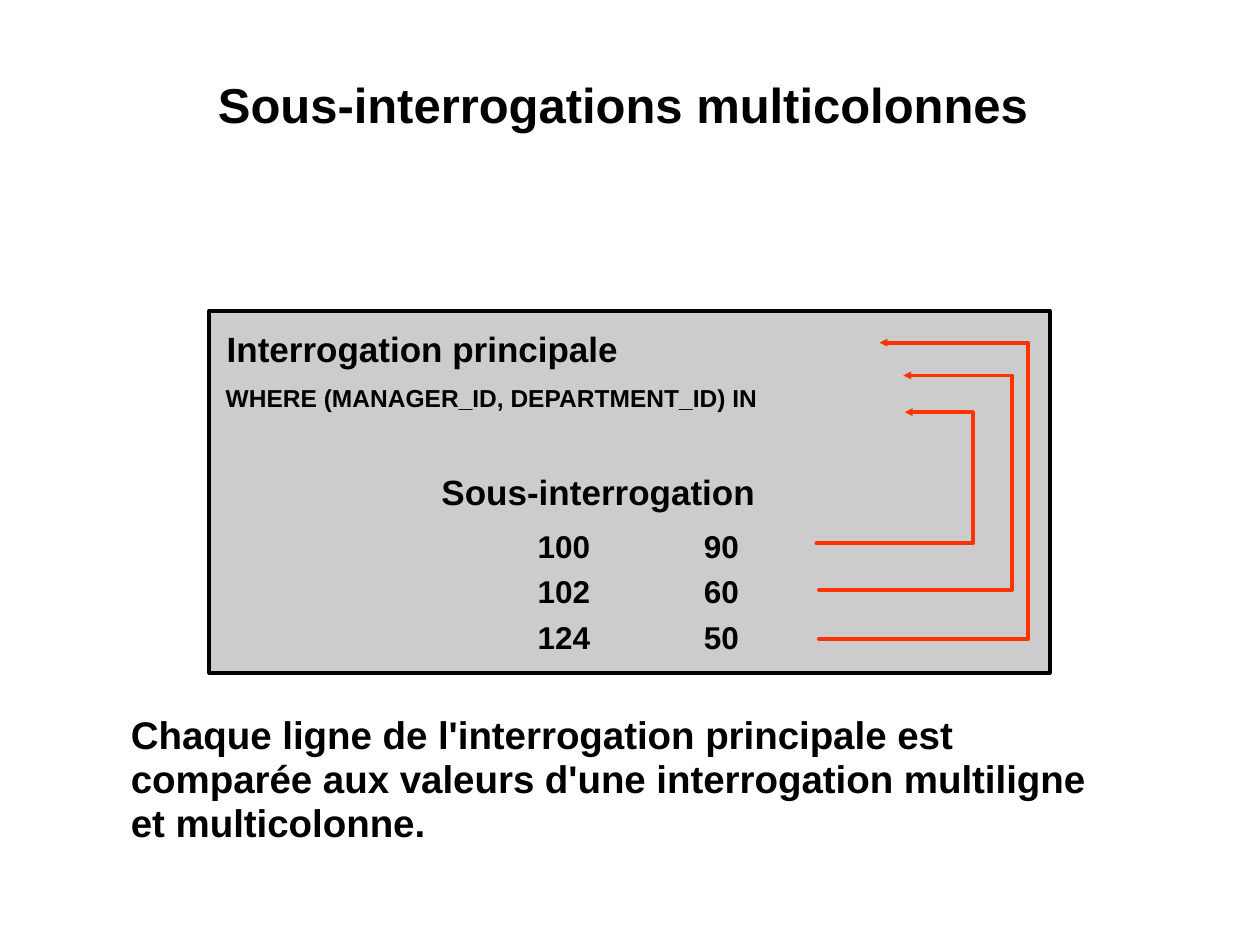
import lxml.etree
import pptx
import pptx.dml.color
import pptx.enum.shapes
import pptx.enum.text
import pptx.oxml.ns
import pptx.util

Cm = pptx.util.Cm
Pt = pptx.util.Pt
qn = pptx.oxml.ns.qn


def colour(value):
    return pptx.dml.color.RGBColor.from_string(value)


def apply(target, values):
    for name, value in values.items():
        setattr(target, name, value)


class SlideBuilder:
    ink = "000000"
    panel_fill = "CCCCCC"
    arrow_ink = "FF3300"
    line_width = Pt(2.25)
    font = {"name": "Arial", "bold": True}
    frame = {
        "word_wrap": True,
        "vertical_anchor": pptx.enum.text.MSO_ANCHOR.TOP,
        "margin_left": Cm(0.25),
        "margin_right": Cm(0.25),
        "margin_top": Cm(0.13),
        "margin_bottom": Cm(0.13),
    }

    def __init__(self, slide):
        self.slide = slide

    def outline(self, shape, value):
        shape.shadow.inherit = False
        shape.line.color.rgb = colour(value)
        shape.line.width = self.line_width

    def panel(self, left, top, width, height):
        shape = self.slide.shapes.add_shape(
            pptx.enum.shapes.MSO_SHAPE.RECTANGLE,
            Cm(left), Cm(top), Cm(width), Cm(height))
        shape.fill.solid()
        shape.fill.fore_color.rgb = colour(self.panel_fill)
        self.outline(shape, self.ink)

    def text(self, lines, left, top, width, height, size, spacing=1.2,
             align=pptx.enum.text.PP_ALIGN.LEFT, tab=None):
        box = self.slide.shapes.add_textbox(Cm(left), Cm(top), Cm(width), Cm(height))
        apply(box.text_frame, self.frame)
        box.text_frame.text = "\n".join(lines)
        for paragraph in box.text_frame.paragraphs:
            apply(paragraph, {"alignment": align, "line_spacing": spacing,
                              "space_before": Pt(0)})
            if tab:
                stops = lxml.etree.SubElement(
                    paragraph._p.get_or_add_pPr(), qn("a:tabLst"))
                lxml.etree.SubElement(stops, qn("a:tab"), pos=str(Cm(tab)), algn="l")
            apply(paragraph.font, {**self.font, "size": Pt(size)})
            paragraph.font.color.rgb = colour(self.ink)

    def return_arrow(self, start, bottom, turn, top, end):
        points = [(Cm(x), Cm(y)) for x, y in
                  ((start, bottom), (turn, bottom), (turn, top), (end, top))]
        builder = self.slide.shapes.build_freeform(*points[0])
        builder.add_line_segments(points[1:], close=False)
        shape = builder.convert_to_shape()
        shape.fill.background()
        self.outline(shape, self.arrow_ink)
        line = shape.line._get_or_add_ln()
        line.set("cap", "rnd")
        lxml.etree.SubElement(line, qn("a:round"))
        lxml.etree.SubElement(line, qn("a:tailEnd"), type="triangle", w="sm", len="sm")


def main():
    presentation = pptx.Presentation()
    apply(presentation, {"slide_width": Cm(25.4), "slide_height": Cm(19.05)})
    builder = SlideBuilder(presentation.slides.add_slide(presentation.slide_layouts[6]))

    builder.text(["Sous-interrogations multicolonnes"], 2.4, 1.37, 20.32, 2.44, 28,
                 spacing=1.0, align=pptx.enum.text.PP_ALIGN.CENTER)
    builder.panel(4.22, 6.27, 16.94, 7.29)
    builder.text(["Interrogation principale"], 4.32, 6.3, 8.61, 1.27, 20)
    builder.text(["WHERE (MANAGER_ID, DEPARTMENT_ID) IN"], 4.3, 7.47, 11.56, 0.97, 14)
    builder.text(["Sous-interrogation"], 8.65, 9.19, 7.04, 1.27, 20)

    manager_departments = [(100, 90), (102, 60), (124, 50)]
    builder.text([f"{manager}\t{department}" for manager, department in manager_departments],
                 10.59, 10.34, 6.38, 3.0, 18, tab=3.35)

    comparisons = [
        (16.46, 10.95, 19.61, 8.31, 18.24),
        (16.51, 11.89, 20.4, 7.57, 18.21),
        (16.51, 12.88, 20.73, 6.91, 17.73),
    ]
    for comparison in comparisons:
        builder.return_arrow(*comparison)

    builder.text(["Chaque ligne de l'interrogation principale est comparée aux valeurs "
                  "d'une interrogation multiligne et multicolonne."],
                 2.39, 14.27, 20.52, 2.92, 22, spacing=0.95)
    presentation.save("out.pptx")


if __name__ == "__main__":
    main()
